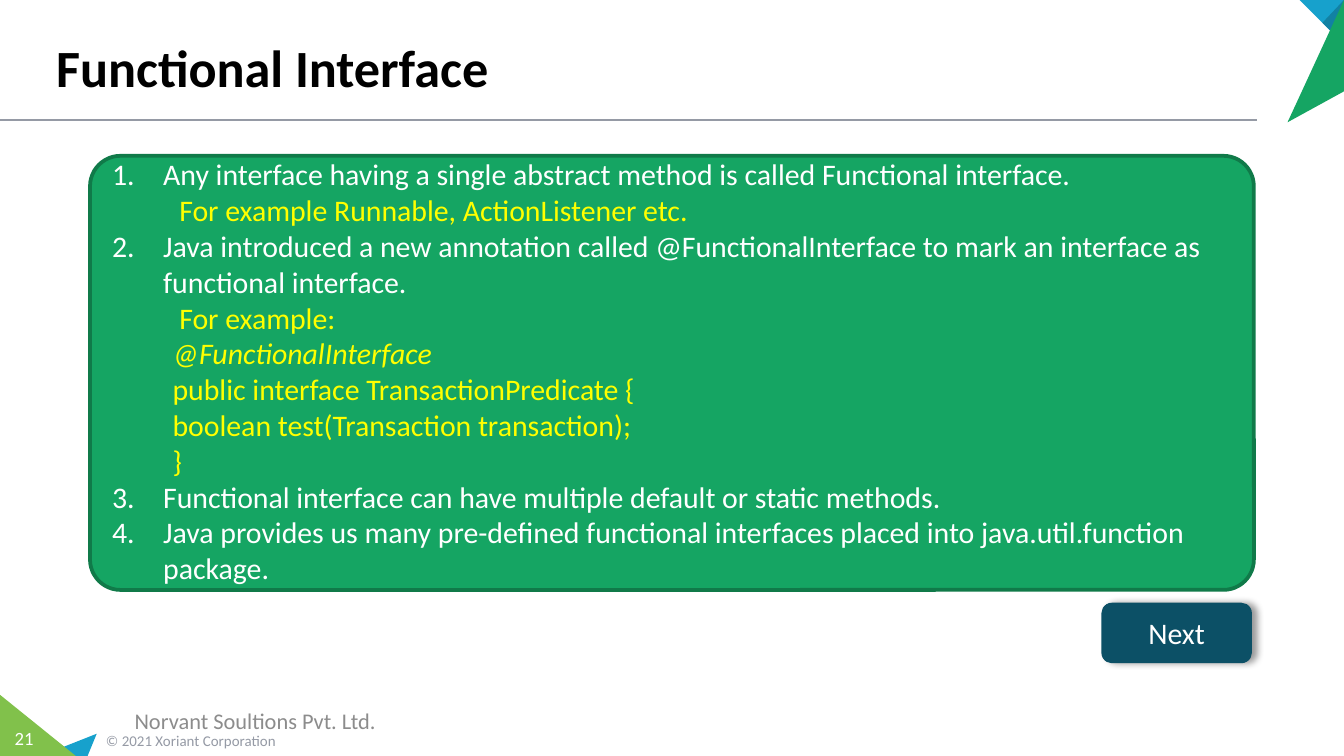
from pptx import Presentation
from pptx.dml.color import RGBColor
from pptx.enum.shapes import MSO_CONNECTOR, MSO_SHAPE
from pptx.enum.text import MSO_ANCHOR, PP_ALIGN
from pptx.oxml import parse_xml
from pptx.oxml.ns import nsdecls
from pptx.util import Inches, Pt

WIDTH = 10
HEIGHT = WIDTH * 9 / 16
GREEN, BLUE, TEAL, GRAY = "15A563", "17A1CC", "0C5066", "959AA5"
WHITE, YELLOW = "FFFFFF", "FFFF00"

# Corner triangles, points in hundredths of an inch
TRIANGLES = [
    (BLUE, [(72, 546), (65, 563), (29, 563)]),
    ("81C14B", [(0, 517), (57, 563), (0, 563)]),
    (BLUE, [(967, 0), (1000, 0), (1000, 33)]),
    ("1281A3", [(984, 17), (1000, 0), (1000, 33)]),
    (GREEN, [(958, 91), (1000, 0), (1000, 68)]),
]

# Text, place (left, top, width, height), alignment, anchor, side inset, font
LABELS = [
    ("© 2021 Xoriant Corporation", (0.69, 5.39, 2.33, 0.24), PP_ALIGN.LEFT,
     MSO_ANCHOR.MIDDLE, 0.1, {"size": 8, "color": GRAY}),
    ("21", (0, 5.36, 0.36, 0.27), PP_ALIGN.CENTER,
     MSO_ANCHOR.TOP, 0, {"size": 10, "color": WHITE}),
    ("Functional Interface", (0.32, 0.06, 9, 0.72), PP_ALIGN.LEFT,
     MSO_ANCHOR.BOTTOM, 0.1, {"size": 28, "color": "000000", "bold": True}),
    ("Norvant Soultions Pvt. Ltd.", (0, 5.21, 3.8, 0.3), PP_ALIGN.CENTER,
     MSO_ANCHOR.MIDDLE, 0.1, {"size": 12, "color": "8C8C8C"}),
]

# Level 0 is a numbered point, 1 an example heading, 2 a line of code
POINTS = [
    (0, "Any interface having a single abstract method is called Functional interface."),
    (1, "For example Runnable, ActionListener etc."),
    (0, "Java introduced a new annotation called @FunctionalInterface to mark "
        "an interface as functional interface."),
    (1, "For example:"),
    (2, "@FunctionalInterface"),
    (2, "public interface TransactionPredicate {"),
    (2, "boolean test(Transaction transaction);"),
    (2, "}"),
    (0, "Functional interface can have multiple default or static methods."),
    (0, "Java provides us many pre-defined functional interfaces placed into "
        "java.util.function package."),
]
LEVELS = [  # left margin, first-line indent, colour
    (0.38, -0.38, WHITE),
    (0.5, 0, YELLOW),
    (0.45, 0, YELLOW),
]


def rgb(color):
    return RGBColor.from_string(color)


def inches(lengths):
    return [Inches(length) for length in lengths]


def add_span(para, text, size, color, **styles):
    span = para.add_run()
    span.text = text
    span.font.color.rgb = rgb(color)
    for name, value in {"name": "Calibri", "size": Pt(size), **styles}.items():
        setattr(span.font, name, value)


def paint(shape, fill, line=None, line_width=1):
    shape.shadow.inherit = False
    shape.fill.solid()
    shape.fill.fore_color.rgb = rgb(fill)
    if line:
        shape.line.color.rgb = rgb(line)
        shape.line.width = Pt(line_width)
    else:
        shape.line.fill.background()


def add_panel(page, place, fill, line, line_width):
    panel = page.shapes.add_shape(MSO_SHAPE.ROUNDED_RECTANGLE, *inches(place))
    paint(panel, fill, line, line_width)
    panel.text_frame.word_wrap = True
    panel.text_frame.vertical_anchor = MSO_ANCHOR.MIDDLE
    return panel


def add_rule(page):
    rule = page.shapes.add_connector(
        MSO_CONNECTOR.STRAIGHT, *inches((0, 0.89, 9.35, 0.89)))
    rule.line.color.rgb = rgb(GRAY)
    rule.line.width = Pt(1)
    rule._element.spPr.append(parse_xml(f"<a:effectLst {nsdecls('a')}/>"))


def add_triangles(page):
    for color, (start, *others) in TRIANGLES:
        builder = page.shapes.build_freeform(*start, scale=Inches(0.01))
        builder.add_line_segments(others, close=True)
        paint(builder.convert_to_shape(), color)


def add_labels(page):
    for text, place, align, anchor, inset, font in LABELS:
        box = page.shapes.add_textbox(*inches(place))
        frame = {"word_wrap": True, "vertical_anchor": anchor,
                 "margin_left": Inches(inset), "margin_right": Inches(inset)}
        for name, value in frame.items():
            setattr(box.text_frame, name, value)
        para = box.text_frame.paragraphs[0]
        para.alignment = align
        add_span(para, text, **font)


def add_points(page):
    panel = add_panel(page, (0.67, 1.16, 8.66, 3.23), GREEN, "107A49", 2)
    panel.adjustments[0] = 0.07
    frame = panel.text_frame
    frame.margin_bottom = Inches(0.08)
    for index, (level, text) in enumerate(POINTS):
        para = frame.add_paragraph() if index else frame.paragraphs[0]
        margin, indent, color = LEVELS[level]
        para.alignment = PP_ALIGN.LEFT
        para.level = level
        properties = para._p.get_or_add_pPr()
        properties.set("marL", str(Inches(margin)))
        properties.set("indent", str(Inches(indent)))
        bullet = "buNone" if level else 'buAutoNum type="arabicPeriod"'
        properties.append(parse_xml(f"<a:{bullet} {nsdecls('a')}/>"))
        add_span(para, text, 16, color, italic=text.startswith("@"))


def add_next_button(page):
    button = add_panel(page, (8.2, 4.49, 1.11, 0.44), TEAL, TEAL, 0.75)
    para = button.text_frame.paragraphs[0]
    para.alignment = PP_ALIGN.CENTER
    add_span(para, "Next", 16, WHITE)
    effects = button._element.spPr.find(
        "{http://schemas.openxmlformats.org/drawingml/2006/main}effectLst")
    effects.append(parse_xml(
        f'<a:outerShdw {nsdecls("a")} blurRad="{Pt(4)}" dist="{Pt(3)}" dir="0" '
        'algn="l" rotWithShape="0"><a:srgbClr val="000000">'
        '<a:alpha val="40000"/></a:srgbClr></a:outerShdw>'))


def main():
    deck = Presentation()
    deck.slide_width, deck.slide_height = inches((WIDTH, HEIGHT))
    page = deck.slides.add_slide(deck.slide_layouts[6])
    add_rule(page)
    add_triangles(page)
    add_labels(page)
    add_points(page)
    add_next_button(page)
    deck.save("out.pptx")


if __name__ == "__main__":
    main()
